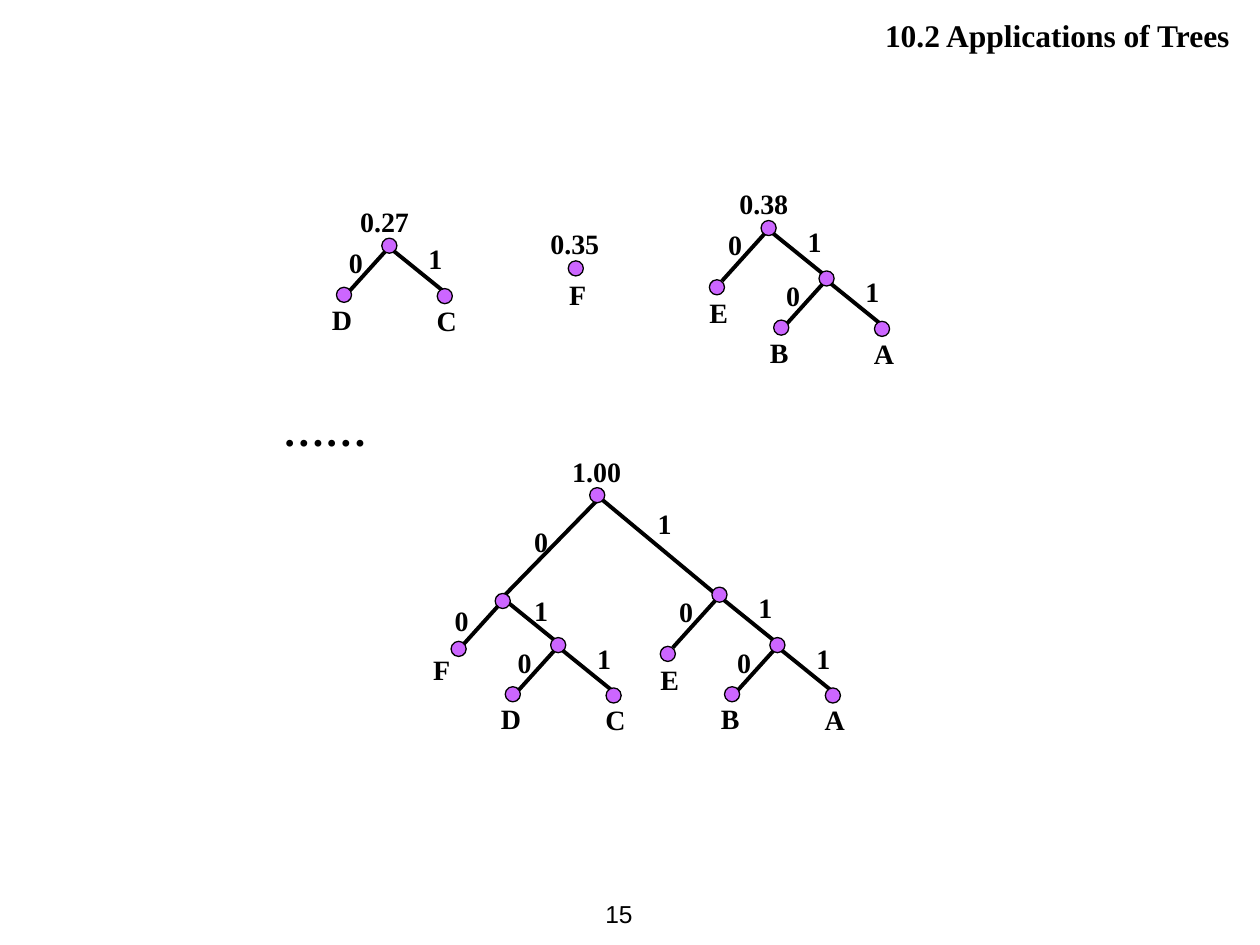
from dataclasses import dataclass
from typing import Optional

from lxml.etree import SubElement
from pptx import Presentation
from pptx.dml.color import RGBColor
from pptx.enum.shapes import MSO_CONNECTOR as Connector, MSO_SHAPE as Shape
from pptx.enum.text import MSO_ANCHOR as Anchor, PP_ALIGN as Align
from pptx.oxml.ns import qn
from pptx.util import Inches, Pt

COLUMNS, ROWS = 1000, 750
SLIDE_WIDTH, SLIDE_HEIGHT = Inches(10), Inches(7.5)
NODE_SIZE = 12
LABEL_WIDTH, LABEL_HEIGHT = 63, 52


@dataclass(frozen=True)
class Theme:
    ink: RGBColor = RGBColor(0x00, 0x00, 0x00)
    node: RGBColor = RGBColor(0xCC, 0x66, 0xFF)
    serif: str = "Times New Roman"
    sans: str = "Arial"
    label: int = 16
    title: int = 18
    ellipsis: int = 24
    number: int = 14
    edge: float = 2.25
    outline: float = 0.75


@dataclass(frozen=True)
class Branch:
    child: "Node"
    offset: tuple
    start: tuple
    reach: tuple
    bit_offset: tuple


@dataclass(frozen=True)
class Node:
    name: str = ""
    name_offset: tuple = (-30, 1)
    zero: Optional[Branch] = None
    one: Optional[Branch] = None


THEME = Theme()


def zero(child, offset=(-36, 39), start=(0, 1), reach=(-37, 41), bit_offset=(-58, -5)):
    return Branch(child, offset, start, reach, bit_offset)


def one(child, offset=(44, 40), start=(2, 3), reach=(42, 34), bit_offset=(5, -8)):
    return Branch(child, offset, start, reach, bit_offset)


def pair(left, right):
    return Node(zero=zero(Node(left, (-33, 1))), one=one(Node(right)))


def shift(point, offset):
    return point[0] + offset[0], point[1] + offset[1]


def across(columns):
    return round(SLIDE_WIDTH * columns / COLUMNS)


def down(rows):
    return round(SLIDE_HEIGHT * rows / ROWS)


def add_text(shapes, text, box, size, font=THEME.serif, align=Align.CENTER,
             bold=True, italic=False, wrap=True):
    left, top, width, height = box
    textbox = shapes.add_textbox(across(left), down(top), across(width), down(height))
    frame = textbox.text_frame
    frame.word_wrap = wrap
    paragraph = frame.paragraphs[0]
    paragraph.alignment = align
    run = paragraph.add_run()
    run.text = text
    run.font.name = font
    run.font.size = Pt(size)
    run.font.bold = bold
    run.font.italic = italic
    run.font.color.rgb = THEME.ink
    return frame


def add_label(shapes, text, corner, align=Align.CENTER):
    add_text(shapes, text, (*corner, LABEL_WIDTH, LABEL_HEIGHT), THEME.label, align=align)


def add_edge(shapes, start, end):
    edge = shapes.add_connector(Connector.STRAIGHT, across(start[0]), down(start[1]),
                                across(end[0]), down(end[1]))
    edge.line.color.rgb = THEME.ink
    edge.line.width = Pt(THEME.edge)
    SubElement(edge._element.spPr, qn("a:effectLst"))


def add_dot(shapes, center):
    left, top = shift(center, (-NODE_SIZE / 2, -NODE_SIZE / 2))
    dot = shapes.add_shape(Shape.OVAL, across(left), down(top),
                           across(NODE_SIZE), down(NODE_SIZE))
    dot.shadow.inherit = False
    dot.fill.solid()
    dot.fill.fore_color.rgb = THEME.node
    dot.line.color.rgb = THEME.ink
    dot.line.width = Pt(THEME.outline)


def add_node(shapes, node, center):
    for bit, branch in (("0", node.zero), ("1", node.one)):
        if branch:
            start = shift(center, branch.start)
            add_edge(shapes, start, shift(start, branch.reach))
            add_label(shapes, bit, shift(center, branch.bit_offset))
            add_node(shapes, branch.child, shift(center, branch.offset))
    add_dot(shapes, center)
    if node.name:
        add_label(shapes, node.name, shift(center, node.name_offset))


def add_tree(shapes, weight, root, center, weight_offset=(-33, -38), align=Align.LEFT):
    add_node(shapes, root, center)
    add_label(shapes, weight, shift(center, weight_offset), align)


def add_forest(slide):
    shapes = slide.shapes.add_group_shape().shapes
    add_tree(shapes, "0.27", pair("D", "C"), (309, 195))
    add_tree(shapes, "0.35", Node("F", (-30, 2)), (457, 213), (-30, -38))
    add_tree(shapes, "0.38", right_subtree(), (610, 181))


def right_subtree():
    return Node(zero=zero(Node("E", (-30, 2)), offset=(-41, 47)),
                one=one(pair("B", "A"), offset=(46, 40)))


def left_subtree():
    return Node(
        zero=zero(Node("F", (-45, -2)), (-35, 38), (-1, 1), bit_offset=(-64, -3)),
        one=one(pair("D", "C"), (44, 35), (-1, -3), bit_offset=(-1, -11)))


def add_final_tree(slide):
    root = Node(
        zero=zero(left_subtree(), (-75, 84), (2, 2), (-78, 80), (-76, 18)),
        one=one(right_subtree(), (97, 79), (2, 2), (95, 79), (22, 4)))
    shapes = slide.shapes.add_group_shape().shapes
    add_tree(shapes, "1.00", root, (474, 393), (-32, -37), Align.CENTER)


def add_heading(slide, box):
    frame = add_text(slide.shapes, "10.2 Applications of Trees", box, THEME.title,
                     align=Align.RIGHT)
    frame.margin_right = across(16)


def add_ellipsis(slide, box):
    add_text(slide.shapes, "……", box, THEME.ellipsis, align=Align.LEFT, italic=True)


def add_page_number(slide, box):
    frame = add_text(slide.shapes, "15", box, THEME.number, THEME.sans, Align.RIGHT,
                     bold=False, wrap=False)
    frame.vertical_anchor = Anchor.MIDDLE


def main():
    presentation = Presentation()
    presentation.slide_width, presentation.slide_height = SLIDE_WIDTH, SLIDE_HEIGHT
    slide = presentation.slides.add_slide(presentation.slide_layouts[6])
    add_page_number(slide, (445, 700, 67, 50))
    add_forest(slide)
    add_ellipsis(slide, (216, 316, 614, 50))
    add_final_tree(slide)
    add_heading(slide, (398, 8, 594, 40))
    presentation.save("out.pptx")


if __name__ == "__main__":
    main()
